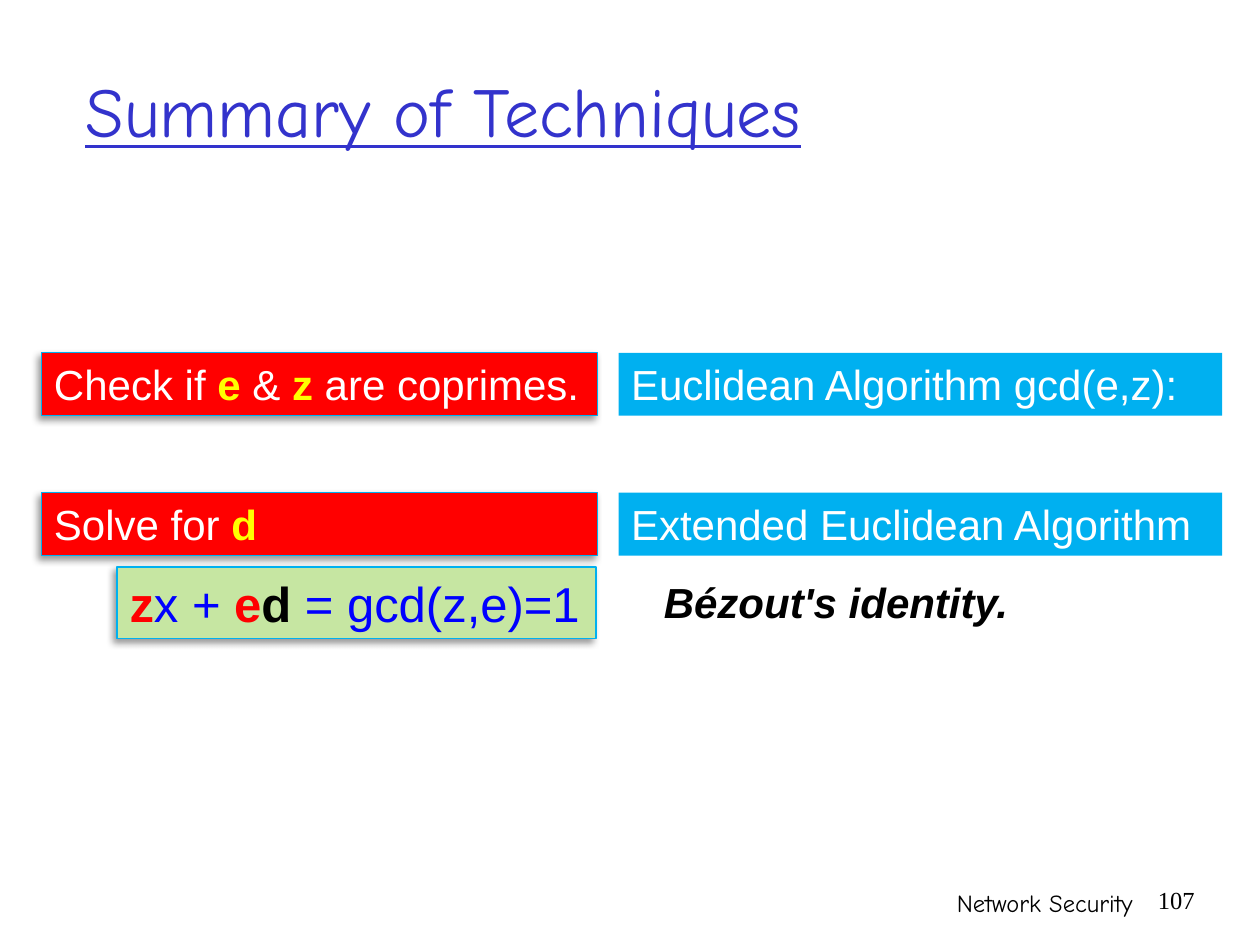
from lxml import etree
from pptx import Presentation, util as u
from pptx.dml.color import RGBColor
from pptx.enum import shapes, text
from pptx.oxml import parse_xml
from pptx.oxml.ns import nsdecls

COLORS = {
    "white": "FFFFFF", "black": "000000", "red": "FF0000", "yellow": "FFFF00",
    "sky": "00B0F0", "green": "C6E6A2", "blue": "0000FF", "indigo": "3333CC",
}
WIDTH, HEIGHT = 10, 7.5
LEFT, RIGHT = (0.33, 4.41), (4.91, 4.79)
FORMULA, IDENTITY = (0.93, 3.8), (5.17, 2.96)
FIRST_ROW, ROW_STEP, ROW_HEIGHT = 2.8, 1.11, 0.5

TASK = {"fill": "red", "outlined": True}
METHOD = {"fill": "sky"}
BODY = {"name": "Arial", "size": u.Pt(24)}

STEPS = [
    ([("Check if ", "white"), ("e", "yellow", "bold"), (" & ", "white"),
      ("z", "yellow", "bold"), (" are coprimes.", "white")],
     [("Euclidean Algorithm gcd(e,z):", "white")]),
    ([("Solve for ", "white"), ("d", "yellow", "bold")],
     [("Extended Euclidean Algorithm", "white")]),
]
EQUATION = [("z", "red", "bold"), ("x + ", "blue"), ("e", "red", "bold"),
            ("d ", "black", "bold"), ("= gcd(z,e)=1", "blue")]
BEZOUT = [("Bézout's identity.", "black", "bold", "italic")]
TITLE = [("Summary of Techniques", "indigo", "underline")]
FOOTER = [("Network Security", "black")]
PAGE = [("107", "black")]

SHADOW = (
    f'<a:effectLst {nsdecls("a")}><a:outerShdw blurRad="{u.Pt(4)}" dist="{u.Pt(3)}" '
    'dir="8100000" algn="tr" rotWithShape="0"><a:srgbClr val="000000">'
    '<a:alpha val="40000"/></a:srgbClr></a:outerShdw></a:effectLst>'
)


def rgb(name):
    return RGBColor.from_string(COLORS[name])


def write(box, runs, font, align=text.PP_ALIGN.LEFT, anchor=text.MSO_ANCHOR.TOP,
          spacing=1.0):
    frame = box.text_frame
    frame.word_wrap = True
    frame.vertical_anchor = anchor
    paragraph = frame.paragraphs[0]
    paragraph.alignment = align
    paragraph.line_spacing = spacing
    for words, color, *styles in runs:
        run = paragraph.add_run()
        run.text = words
        for key, value in {**font, **dict.fromkeys(styles, True)}.items():
            setattr(run.font, key, value)
        run.font.color.rgb = rgb(color)


def add_panel(slide, column, top, height, runs, font, fill, outlined=False):
    left, width = column
    panel = slide.shapes.add_shape(
        shapes.MSO_SHAPE.RECTANGLE, *map(u.Inches, (left, top, width, height)))
    panel.fill.solid()
    panel.fill.fore_color.rgb = rgb(fill)
    panel.shadow.inherit = False
    if outlined:
        panel.line.color.rgb = rgb("sky")
        panel.line.width = u.Pt(0.75)
        properties = panel.fill._xPr
        properties.replace(properties.find("{*}effectLst"), parse_xml(SHADOW))
    else:
        panel.line.fill.background()
    write(panel, runs, font)


def add_label(slide, column, top, height, runs, font, **layout):
    left, width = column
    label = slide.shapes.add_textbox(*map(u.Inches, (left, top, width, height)))
    write(label, runs, font, **layout)


def main():
    deck = Presentation()
    deck.slide_width, deck.slide_height = u.Inches(WIDTH), u.Inches(HEIGHT)
    slide = deck.slides.add_slide(deck.slide_layouts[6])

    add_label(slide, (0.58, 8.48), 0.12, 1.49, TITLE,
              {"name": "Comic Neue", "size": u.Pt(40)},
              anchor=text.MSO_ANCHOR.MIDDLE, spacing=1.02)

    for row, (task, method) in enumerate(STEPS):
        top = FIRST_ROW + row * ROW_STEP
        add_panel(slide, LEFT, top, ROW_HEIGHT, task, BODY, **TASK)
        add_panel(slide, RIGHT, top, ROW_HEIGHT, method, BODY, **METHOD)

    add_panel(slide, FORMULA, 4.5, 0.57, EQUATION, {**BODY, "size": u.Pt(28)},
              fill="green", outlined=True)
    add_label(slide, IDENTITY, 4.53, ROW_HEIGHT, BEZOUT, BODY)

    for column, runs, name, spacing in [
        ((5.92, 3.17), FOOTER, "Comic Neue", 1.0),
        ((9.08, 0.5), PAGE, "Times New Roman", 0.92),
    ]:
        add_label(slide, column, 7, 0.34, runs, {"name": name, "size": u.Pt(14)},
                  align=text.PP_ALIGN.RIGHT, spacing=spacing)

    deck.save("out.pptx")


if __name__ == "__main__":
    main()
